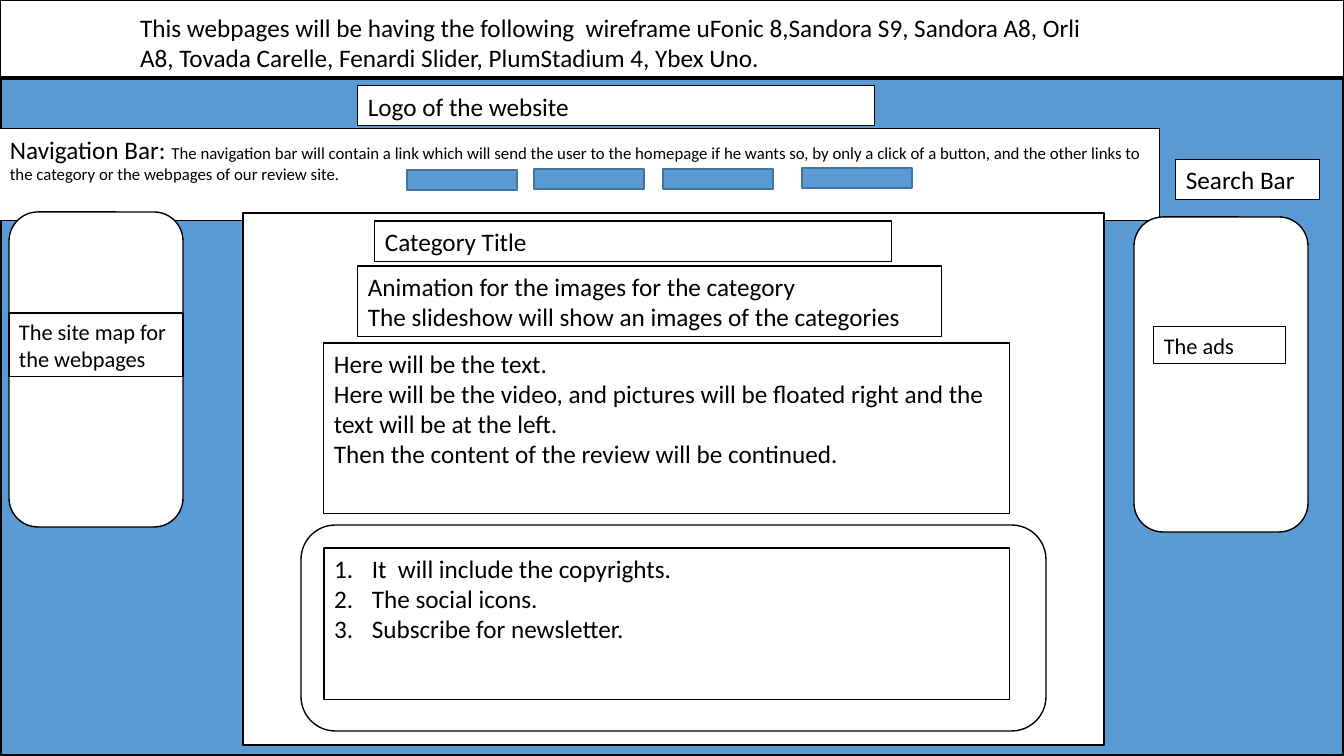
from lxml import etree
from pptx import Presentation
from pptx import util as u
from pptx.dml.color import RGBColor
from pptx.enum import shapes, text
from pptx.oxml.ns import qn

PIXEL = 914400 / 100.8
COLORS = {"black": "000000", "white": "FFFFFF", "blue": "5B9BD5", "edge": "43739E"}
RECT = shapes.MSO_SHAPE.RECTANGLE
ROUND = shapes.MSO_SHAPE.ROUNDED_RECTANGLE

HEADING = ("This webpages will be having the following  wireframe uFonic 8,Sandora S9, Sandora A8, "
           "Orli A8, Tovada Carelle, Fenardi Slider, PlumStadium 4, Ybex Uno.")
HEADING_PLACE = (130, 7, 974, 71)
FOOTER = ["It  will include the copyrights.", "The social icons.", "Subscribe for newsletter."]
FOOTER_PLACE = (324, 548, 686, 152)
NAVIGATION = ("The navigation bar will contain a link which will send the user to the homepage "
              "if he wants so, by only a click of a button, and the other links to the category "
              "or the webpages of our review site.")

# Panels: geometry, place, fill, line width
HEADER_BAND = (RECT, (0, 0, 1344, 78), "white", 1)
PANELS = [
    (RECT, (0, 78, 1344, 678), "blue", 2.25),
    (RECT, (0, 129, 1160, 92), "white", 0.75),
    (RECT, (243, 213, 861, 532), "white", 1.5),
    (ROUND, (301, 525, 745, 206), "white", 1),
    (ROUND, (9, 212, 174, 315), "white", 1),
    (ROUND, (1134, 217, 174, 315), "white", 1),
]
# Labels: place, text size, paragraphs
LABELS = [
    ((358, 86, 517, 40), 18, ["Logo of the website"]),
    ((1176, 159, 144, 41), 18, ["Search Bar"]),
    ((375, 221, 517, 41), 18, ["Category Title"]),
    ((358, 266, 584, 71), 18, ["Animation for the images for the category",
                               "The slideshow will show an images of the categories"]),
    ((324, 343, 686, 171), 18, [
        "Here will be the text.",
        "Here will be the video, and pictures will be floated right "
        "and the text will be at the left.",
        "Then the content of the review will be continued."]),
    ((9, 313, 174, 64), 16, ["The site map for the webpages"]),
    ((1154, 327, 132, 37), 16, ["The ads"]),
]
NAVIGATION_PLACE = (0, 129, 1160, 92)
BUTTON_SPOTS = [(407, 170), (534, 169), (663, 169), (802, 168)]
BUTTON_SIZE = (110, 20)


def px(value):
    """Turn pixels into EMU."""
    return u.Emu(round(value * PIXEL))


def color(name):
    """Look up a named colour."""
    return RGBColor.from_string(COLORS[name])


def paint(box, fill, edge, width):
    """Set the fill and outline of a shape."""
    box.fill.solid()
    box.fill.fore_color.rgb = color(fill)
    box.line.color.rgb = color(edge)
    box.line.width = u.Pt(width)


def add_panel(geometry, place, fill, width, edge="black"):
    """Add a filled, outlined shape."""
    box = page.shapes.add_shape(geometry, *map(px, place))
    box.shadow.inherit = False
    paint(box, fill, edge, width)
    return box


def write(box, lines, size):
    """Fill a box with left-aligned paragraphs from its top."""
    frame = box.text_frame
    frame.text = "\n".join(lines)
    frame.word_wrap = True
    frame.auto_size = text.MSO_AUTO_SIZE.NONE
    frame.vertical_anchor = text.MSO_ANCHOR.TOP
    for para in frame.paragraphs:
        para.alignment = text.PP_ALIGN.LEFT
        para.space_before = u.Pt(0)
        para.font.size = u.Pt(size)
        para.font.name = "Calibri"
        para.font.color.rgb = color("black")


def place_front(box, place):
    """Move a placeholder to its place, in front of the shapes so far."""
    box.left, box.top, box.width, box.height = map(px, place)
    box.element.getparent().append(box.element)


def number(para):
    """Give a paragraph an automatic number and hanging indent."""
    properties = para._p.get_or_add_pPr()
    properties.set("marL", str(u.Pt(27)))
    properties.set("indent", str(u.Pt(-27)))
    etree.SubElement(properties, qn("a:buFont"), typeface="+mj-lt")
    etree.SubElement(properties, qn("a:buAutoNum"), type="arabicPeriod")


deck = Presentation()
deck.slide_width, deck.slide_height = px(1344), px(756)
page = deck.slides.add_slide(deck.slide_layouts[1])
title, footer = page.placeholders

add_panel(*HEADER_BAND)
place_front(title, HEADING_PLACE)
write(title, [HEADING], 18)

for panel in PANELS:
    add_panel(*panel)

for place, size, lines in LABELS:
    write(add_panel(RECT, place, "white", 0.75), lines, size)

navigation = page.shapes.add_textbox(*map(px, NAVIGATION_PLACE))
write(navigation, ["Navigation Bar: "], 18)
span = navigation.text_frame.paragraphs[0].add_run()
span.text = NAVIGATION
span.font.size = u.Pt(12)

place_front(footer, FOOTER_PLACE)
paint(footer, "white", "black", 0.75)
write(footer, FOOTER, 18)
for para in footer.text_frame.paragraphs:
    number(para)

for spot in BUTTON_SPOTS:
    add_panel(RECT, spot + BUTTON_SIZE, "blue", 1, "edge")

deck.save("out.pptx")
